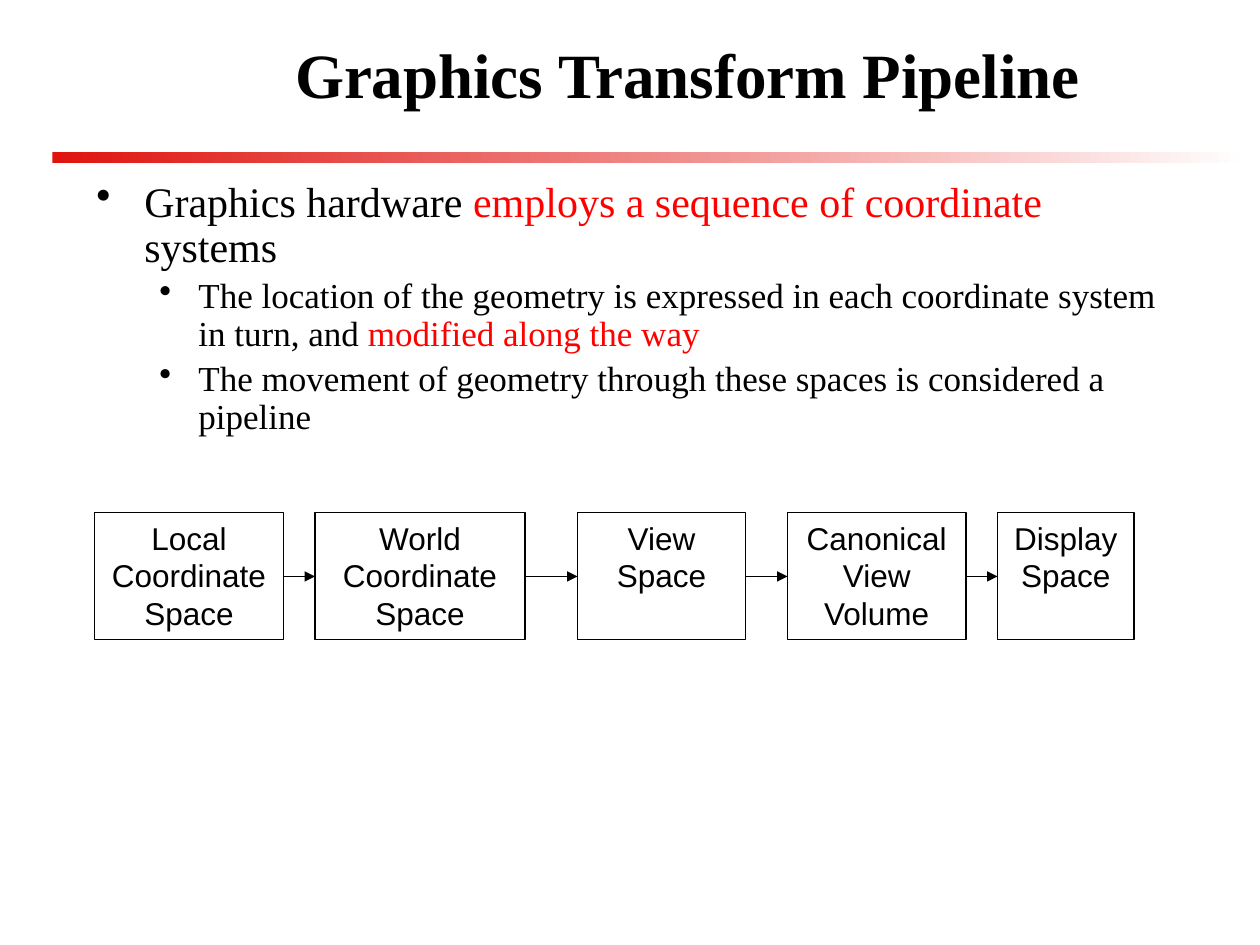
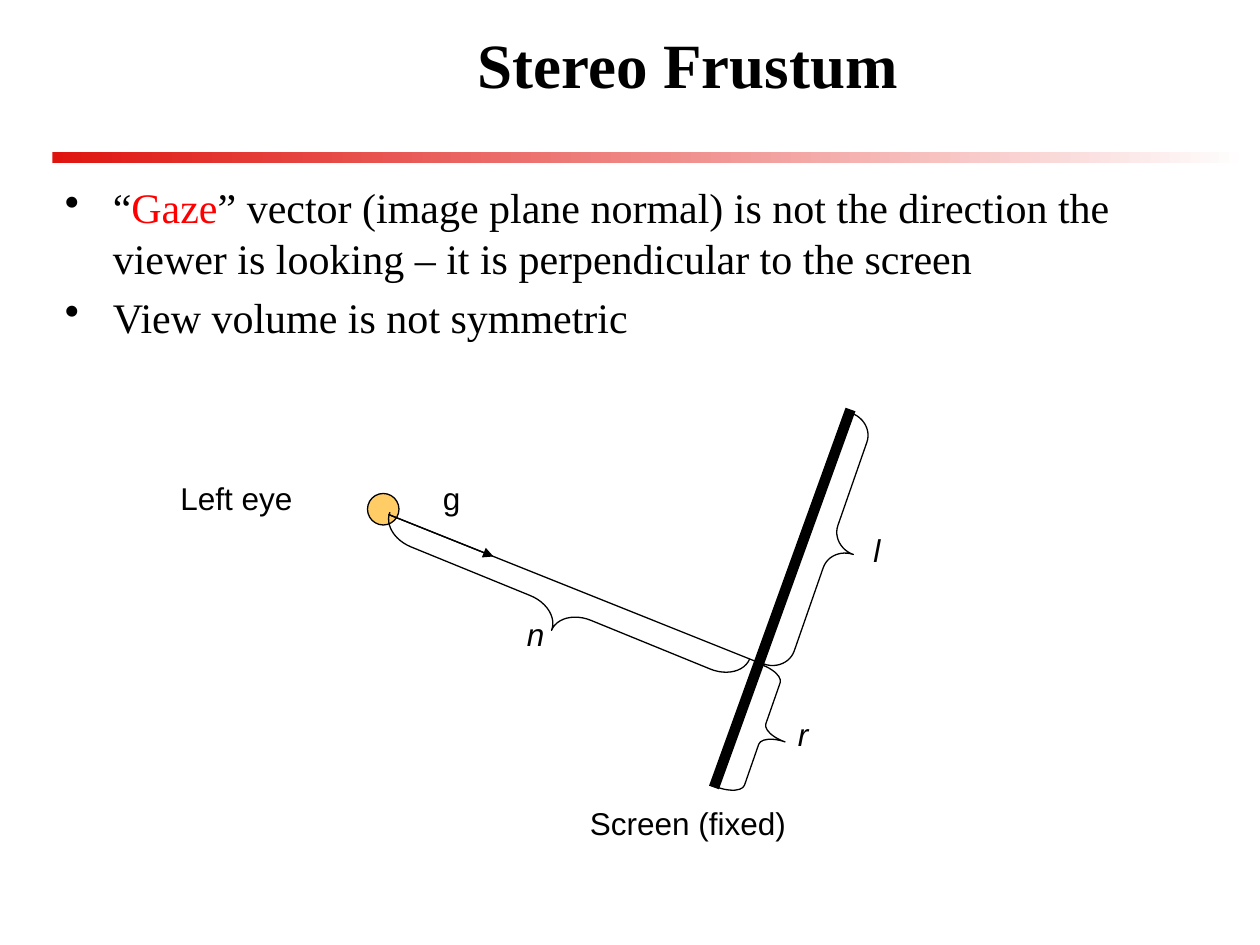
from lxml.etree import SubElement
from pptx import Presentation
from pptx.dml.color import RGBColor
from pptx.enum.shapes import MSO_CONNECTOR, MSO_SHAPE as Preset
from pptx.enum.text import MSO_ANCHOR as Anchor, MSO_AUTO_SIZE as AutoSize, PP_ALIGN as Align
from pptx.oxml.ns import qn
from pptx.util import Inches, Pt

COLORS = {"text": "000000", "accent": "FF0000", "band": "DF140F",
          "paper": "FFFFFF", "eye": "FFCC66"}
RGB = {name: RGBColor.from_string(value) for name, value in COLORS.items()}
SERIF, SANS = "Times New Roman", "Arial"
COLUMNS, ROWS = 120, 90  # square cells, twelve to the inch

TITLE = {"font": {"name": SERIF, "size": Pt(36), "bold": True},
         "paragraph": {"alignment": Align.CENTER},
         "frame": {"word_wrap": True, "vertical_anchor": Anchor.MIDDLE}}
BODY_FRAME = {"word_wrap": True, "margin_top": Inches(0.11)}
LEVELS = [  # text indent in inches, hanging part, size
    (0.38, 0.38, 24),
    (0.81, 0.31, 20),
]
STAGE = {"font": {"name": SANS, "size": Pt(18)},
         "paragraph": {"alignment": Align.CENTER},
         "frame": {"word_wrap": True, "vertical_anchor": Anchor.TOP}}
LABEL = {"font": {"name": SANS, "size": Pt(18)},
         "paragraph": {"alignment": Align.LEFT},
         "frame": {"word_wrap": False, "auto_size": AutoSize.SHAPE_TO_FIT_TEXT}}

presentation = Presentation()
presentation.slide_width, presentation.slide_height = Inches(10), Inches(7.5)
CELL = presentation.slide_width / COLUMNS


def grid(*cells):
    """Turn counts of grid cells into lengths."""
    return [round(cell * CELL) for cell in cells]


def write(paragraph, runs, font, **paragraph_format):
    """Add (text, colour name) runs to a paragraph."""
    for name, value in paragraph_format.items():
        setattr(paragraph, name, value)
    for text, color in runs:
        run = paragraph.add_run()
        run.text = text
        for name, value in font.items():
            setattr(run.font, name, value)
        run.font.color.rgb = RGB[color]


# Title, band and bullets of both slides
outlines = [
    ("Graphics Transform Pipeline", 2, (8, 15.9, 106, 28.5), 0.9, [
        (0, [("Graphics hardware ", "text"),
             ("employs a sequence of coordinate ", "accent"),
             ("systems", "text")]),
        (1, [("The location of the geometry is expressed in each coordinate "
              "system in turn, and ", "text"),
             ("modified along the way", "accent")]),
        (1, [("The movement of geometry through these spaces is considered "
              "a pipeline", "text")]),
    ]),
    ("Stereo Frustum", 1, (5, 16, 112, 64), 1.0, [
        (0, [("“", "text"), ("Gaze", "accent"),
             ("” vector (image plane normal) is not the direction the viewer "
              "is looking – it is perpendicular to the screen", "text")]),
        (0, [("View volume is not symmetric", "text")]),
    ]),
]
for title, title_row, body_box, line_spacing, bullets in outlines:
    slide = presentation.slides.add_slide(presentation.slide_layouts[6])

    band = slide.shapes.add_shape(Preset.RECTANGLE, *grid(5, 14.5, 114, 1))
    band.shadow.inherit = False
    band.line.fill.background()
    band.fill.gradient()
    band.fill.gradient_angle = 0
    for stop, color in zip(band.fill.gradient_stops, ("band", "paper")):
        stop.color.rgb = RGB[color]

    frame = slide.shapes.add_textbox(*grid(14, title_row, 103, 10)).text_frame
    for name, value in TITLE["frame"].items():
        setattr(frame, name, value)
    write(frame.paragraphs[0], [(title, "text")], TITLE["font"], **TITLE["paragraph"])

    frame = slide.shapes.add_textbox(*grid(*body_box)).text_frame
    for name, value in BODY_FRAME.items():
        setattr(frame, name, value)
    for index, (level, runs) in enumerate(bullets):
        paragraph = frame.add_paragraph() if index else frame.paragraphs[0]
        indent, hanging, size = LEVELS[level]
        properties = paragraph._p.get_or_add_pPr()
        properties.set("marL", str(Inches(indent)))
        properties.set("indent", str(-Inches(hanging)))
        SubElement(properties, qn("a:buChar"), char="•")
        write(paragraph, runs, {"name": SERIF, "size": Pt(size)}, level=level,
              line_spacing=line_spacing, space_before=Pt(0.2 * size if index else 0))

pipeline_slide, frustum_slide = presentation.slides
lines = []  # slide, start, end, width, arrowhead

# Pipeline stages, each joined to the one before
stages = [
    ("Local Coordinate Space", 9, 18),
    ("World Coordinate Space", 30, 20),
    ("View Space", 55, 16),
    ("Canonical View Volume", 75, 17),
    ("Display Space", 95, 13),
]
STAGE_TOP, STAGE_HEIGHT, ARROW_ROW = 48.8, 12.1, 54.9
previous_right = None
for text, left, width in stages:
    box = pipeline_slide.shapes.add_shape(
        Preset.RECTANGLE, *grid(left, STAGE_TOP, width, STAGE_HEIGHT))
    box.shadow.inherit = False
    box.fill.background()
    box.line.color.rgb = RGB["text"]
    box.line.width = Pt(1)
    for name, value in STAGE["frame"].items():
        setattr(box.text_frame, name, value)
    write(box.text_frame.paragraphs[0], [(text, "text")], STAGE["font"],
          **STAGE["paragraph"])
    if previous_right:
        lines.append((pipeline_slide, (previous_right, ARROW_ROW),
                      (left, ARROW_ROW), 0.75, True))
    previous_right = left + width

# Eye and the braces that measure n, r and l
outlined = [  # preset, box, rotation, depth of the curl
    (Preset.OVAL, (35, 47, 3, 3), 0, None),
    (Preset.LEFT_BRACE, (51.1, 39.4, 4.6, 37), 292.2, 0.676),
    (Preset.LEFT_BRACE, (70.3, 63.7, 4.6, 12.4), 199.2, 0.225),
    (Preset.LEFT_BRACE, (76.8, 39.4, 4.6, 25.3), 199.2, 0.463),
]
for preset, box, rotation, curl in outlined:
    shape = frustum_slide.shapes.add_shape(preset, *grid(*box))
    shape.shadow.inherit = False
    shape.rotation = rotation
    shape.line.color.rgb = RGB["text"]
    shape.line.width = Pt(0.75)
    if curl:
        shape.fill.background()
        shape.adjustments[0], shape.adjustments[1] = curl, 0.5
    else:
        shape.fill.solid()
        shape.fill.fore_color.rgb = RGB["eye"]

# Frustum labels
labels = [  # text, left, top, width, italic
    ("Left eye", 16, 45, 15.6, False),
    ("Screen (fixed)", 55, 76, 25.2, False),
    ("g", 41, 45, 4.4, False),
    ("n", 49, 58, 4.4, True),
    ("r", 74.8, 67.5, 4, True),
    ("l", 82, 50, 3.5, True),
]
for text, left, top, width, italic in labels:
    frame = frustum_slide.shapes.add_textbox(*grid(left, top, width, 6)).text_frame
    for name, value in LABEL["frame"].items():
        setattr(frame, name, value)
    write(frame.paragraphs[0], [(text, "text")], {**LABEL["font"], "italic": italic},
          **LABEL["paragraph"])

# Screen, line to the screen, gaze vector, and the pipeline arrows
EYE = (37, 49)
lines += [
    (frustum_slide, (81, 39), (68, 75), 6, False),
    (frustum_slide, EYE, (72, 63), 0.75, False),
    (frustum_slide, EYE, (47, 53), 0.75, True),
]
for slide, start, end, width, arrowhead in lines:
    connector = slide.shapes.add_connector(MSO_CONNECTOR.STRAIGHT, *grid(*start, *end))
    connector.line.color.rgb = RGB["text"]
    connector.line.width = Pt(width)
    if arrowhead:
        SubElement(connector.line._get_or_add_ln(), qn("a:tailEnd"), type="triangle")
    SubElement(connector._element.spPr, qn("a:effectLst"))

presentation.save("out.pptx")
